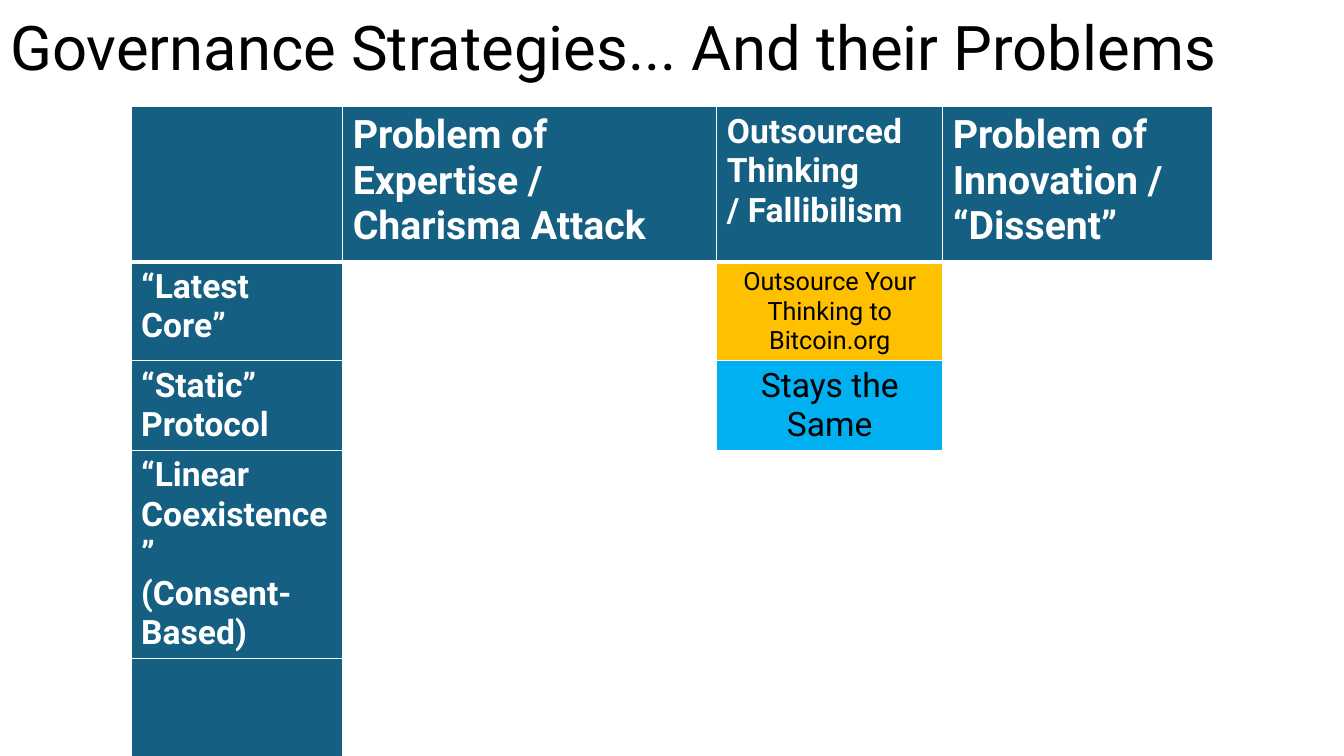
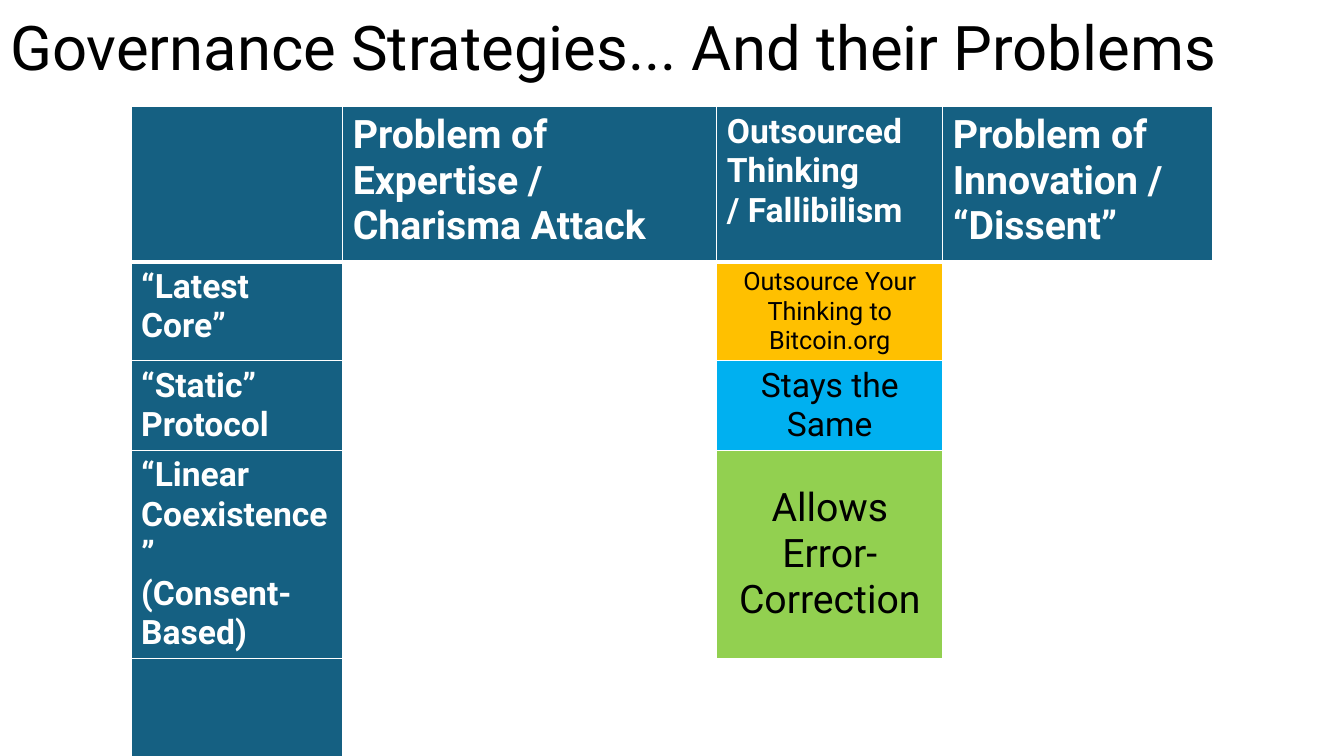
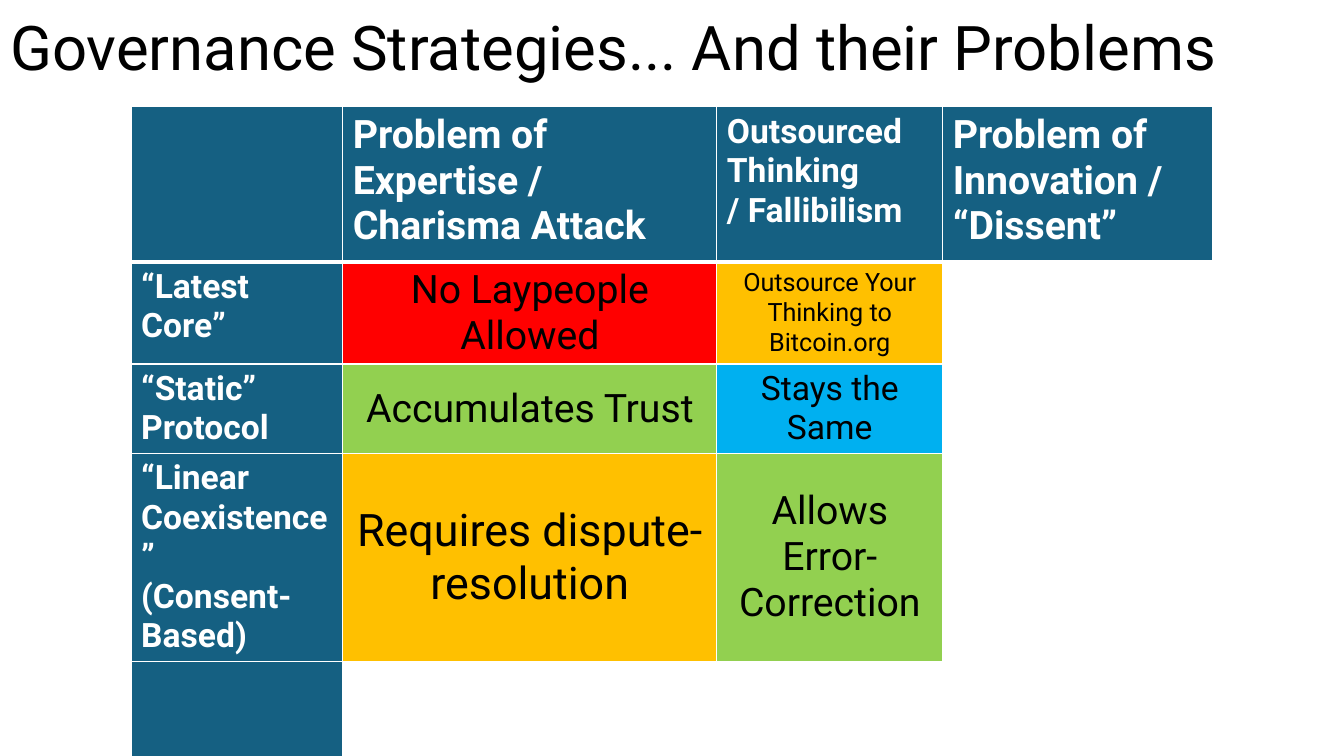
import pptx
import pptx.dml.color
import pptx.enum.text
import pptx.oxml
import pptx.oxml.ns
import pptx.util

Inches, Pt = pptx.util.Inches, pptx.util.Pt
ALIGN, ANCHOR = pptx.enum.text.PP_ALIGN, pptx.enum.text.MSO_ANCHOR

COLORS = {"teal": "156082", "white": "FFFFFF", "black": "000000", "red": "FF0000",
          "amber": "FFC000", "blue": "00B0F0", "green": "92D050"}
FONT = "Roboto"
SLIDE_W, SLIDE_H = 13.33, 7.5
TITLE = "Governance Strategies... And their Problems"
TITLE_BOX = (0, 0.05, 12.2, 0.91)
TABLE_LEFT, TABLE_TOP = 1.3, 1.06
COL_WIDTHS = (2.1, 3.71, 2.24, 2.68)
ROW_HEIGHTS = (1.54, 0.93, 0.89, 1.54, 1.13)

# (row, column): (paragraphs, size)
HEADINGS = {
    (0, 1): (["Problem of Expertise / Charisma Attack"], 28),
    (0, 2): (["Outsourced Thinking", "/ Fallibilism"], 24),
    (0, 3): (["Problem of Innovation / “Dissent”"], 28),
    (1, 0): (["“Latest Core”"], 24),
    (2, 0): (["“Static” Protocol"], 24),
    (3, 0): (["“Linear Coexistence”", "(Consent-Based)"], 24),
}
# (row, column): (text, size, fill, first slide that shows it)
VERDICTS = {
    (1, 1): ("No Laypeople Allowed", 28, "red", 3),
    (1, 2): ("Outsource Your Thinking to Bitcoin.org", 18, "amber", 1),
    (2, 1): ("Accumulates Trust", 28, "green", 3),
    (2, 2): ("Stays the Same", 24, "blue", 1),
    (3, 1): ("Requires dispute-resolution", 32, "amber", 3),
    (3, 2): ("Allows Error-Correction", 28, "green", 2),
}


def rgb(name):
    return pptx.dml.color.RGBColor.from_string(COLORS[name])


def write(tf, paragraphs, size, color, bold=False, align=ALIGN.LEFT):
    for i, text in enumerate(paragraphs):
        p = tf.paragraphs[0] if i == 0 else tf.add_paragraph()
        p.alignment = align
        r = p.add_run()
        r.text = text
        for name, value in {"name": FONT, "size": Pt(size), "bold": bold}.items():
            setattr(r.font, name, value)
        r.font.color.rgb = rgb(color)


def set_borders(cell, row):
    """White rules all round, heavier between the heading row and the body."""
    widths = {"L": 1, "R": 1, "T": 3 if row == 1 else 1, "B": 3 if row == 0 else 1}
    tcPr = cell._tc.get_or_add_tcPr()
    for side, width in widths.items():
        tcPr.append(pptx.oxml.parse_xml(
            f'<a:ln{side} {pptx.oxml.ns.nsdecls("a")} w="{Pt(width)}"><a:solidFill>'
            f'<a:srgbClr val="{COLORS["white"]}"/></a:solidFill></a:ln{side}>'))


def fill_cell(cell, color):
    cell.fill.solid()
    cell.fill.fore_color.rgb = rgb(color)


def add_title(slide):
    sp = slide.shapes.title
    for name, value in zip(("left", "top", "width", "height"), TITLE_BOX):
        setattr(sp, name, Inches(value))
    tf = sp.text_frame
    tf.auto_size = pptx.enum.text.MSO_AUTO_SIZE.NONE
    tf.vertical_anchor = ANCHOR.MIDDLE
    write(tf, [TITLE], 44, "black")
    tf.paragraphs[0].line_spacing = 0.9


def add_strategy_table(slide, number):
    table = slide.shapes.add_table(
        len(ROW_HEIGHTS), len(COL_WIDTHS), Inches(TABLE_LEFT), Inches(TABLE_TOP),
        Inches(sum(COL_WIDTHS)), Inches(sum(ROW_HEIGHTS))).table
    table.horz_banding = False
    for column, width in zip(table.columns, COL_WIDTHS):
        column.width = Inches(width)
    for row, height in zip(table.rows, ROW_HEIGHTS):
        row.height = Inches(height)

    for r in range(len(ROW_HEIGHTS)):
        for c in range(len(COL_WIDTHS)):
            cell = table.cell(r, c)
            set_borders(cell, r)
            text, size, color, first_slide = VERDICTS.get((r, c), ("", 0, "", number + 1))
            if r == 0 or c == 0:
                fill_cell(cell, "teal")
                if (r, c) in HEADINGS:
                    write(cell.text_frame, *HEADINGS[r, c], "white", bold=True)
            elif number >= first_slide:
                fill_cell(cell, color)
                cell.vertical_anchor = ANCHOR.MIDDLE
                write(cell.text_frame, [text], size, "black", align=ALIGN.CENTER)
            else:
                cell.fill.background()


def main():
    prs = pptx.Presentation()
    prs.slide_width, prs.slide_height = Inches(SLIDE_W), Inches(SLIDE_H)
    title_only = prs.slide_layouts[5]
    for number in (1, 2, 3):
        slide = prs.slides.add_slide(title_only)
        add_title(slide)
        add_strategy_table(slide, number)
    prs.save("out.pptx")


if __name__ == "__main__":
    main()
